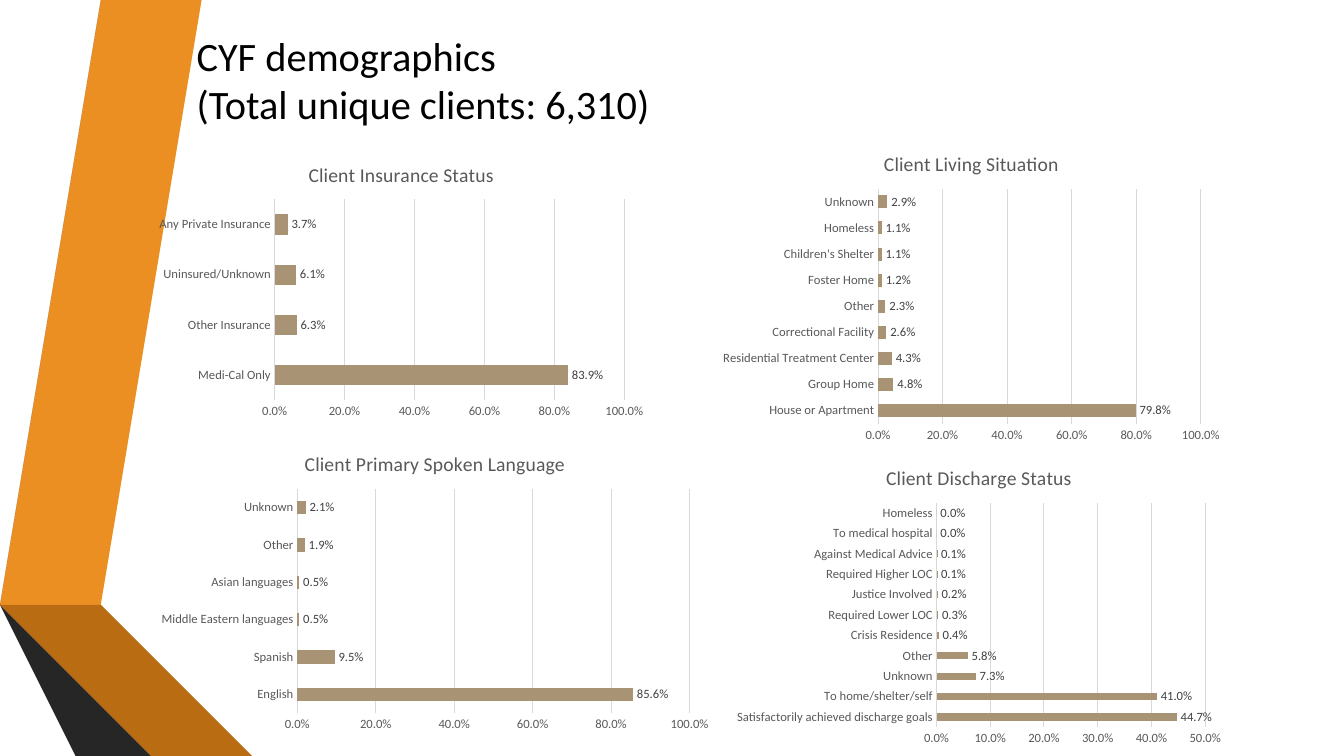
from pptx import Presentation
from pptx.chart.data import CategoryChartData
from pptx.dml.color import RGBColor
from pptx.enum import chart as charts, text
from pptx.util import Inches, Pt

FONT = "Calibri"
PERCENT = "0.0%"
COLORS = {
    "orange": "EB8F22", "gray": "595959", "black": "262626",
    "brown": "7B480B", "rust": "B96C11", "charcoal": "404040",
    "title": "000000", "label": "404040", "axis": "595959",
    "grid": "D9D9D9", "bar": "A89374",
}


def color(name):
    return RGBColor.from_string(COLORS[name])


def style_font(font, size, name):
    font.name = FONT
    font.size = Pt(size)
    font.bold = False
    font.color.rgb = color(name)


deck = Presentation()
deck.slide_width = Inches(13.33)
deck.slide_height = Inches(7.5)
page = deck.slides.add_slide(deck.slide_layouts[5])

ribbons = [
    ("orange", [(0.5, 5.78), (0.77, 5.83), (1.73, 0), (1.45, 0)]),
    ("gray", [(1.39, 0), (1.11, 0), (0.16, 5.73), (0.44, 5.77)]),
    ("black", [(0.16, 5.73), (1.45, 7.5), (1.51, 7.5)]),
    ("brown", [(0.5, 5.79), (2.08, 7.5), (2.14, 7.5)]),
    ("rust", [(0.5, 5.78), (2.14, 7.5), (2.83, 7.5), (0.77, 5.83)]),
    ("charcoal", [(2.02, 7.5), (0.48, 5.83), (0.44, 5.77), (0.16, 5.73), (1.51, 7.5)]),
]
for name, points in ribbons:
    builder = page.shapes.build_freeform(*points[0], scale=Inches(1))
    builder.add_line_segments(points[1:], close=True)
    ribbon = builder.convert_to_shape()
    ribbon.shadow.inherit = False
    ribbon.fill.solid()
    ribbon.fill.fore_color.rgb = color(name)
    ribbon.line.fill.background()

title = page.shapes.title
title.left, title.top = Inches(1.85), Inches(0.23)
title.width, title.height = Inches(10.96), Inches(1.12)
frame = title.text_frame
frame.text = "CYF demographics\v(Total unique clients: 6,310)"
frame.auto_size = text.MSO_AUTO_SIZE.NONE
frame.vertical_anchor = text.MSO_ANCHOR.MIDDLE
frame.paragraphs[0].alignment = text.PP_ALIGN.LEFT
for span in frame.paragraphs[0].runs:
    style_font(span.font, 28.8, "title")

panels = [
    ("Client Insurance Status", (1.48, 1.46, 5, 2.75), 150, 1, 0.2, {
        "Medi-Cal Only": 0.839,
        "Other Insurance": 0.063,
        "Uninsured/Unknown": 0.061,
        "Any Private Insurance": 0.037,
    }),
    ("Client Living Situation", (7.07, 1.34, 5.13, 3.11), 100, 1, 0.2, {
        "House or Apartment": 0.798,
        "Group Home": 0.048,
        "Residential Treatment Center": 0.043,
        "Correctional Facility": 0.026,
        "Other": 0.023,
        "Foster Home": 0.012,
        "Children's Shelter": 0.011,
        "Homeless": 0.011,
        "Unknown": 0.029,
    }),
    ("Client Discharge Status", (7.21, 4.46, 5, 3), 182, 0.5, 0.1, {
        "Satisfactorily achieved discharge goals": 0.447,
        "To home/shelter/self": 0.41,
        "Unknown": 0.073,
        "Other": 0.058,
        "Crisis Residence": 0.004,
        "Required Lower LOC": 0.003,
        "Justice Involved": 0.002,
        "Required Higher LOC": 0.001,
        "Against Medical Advice": 0.001,
        "To medical hospital": 0,
        "Homeless": 0,
    }),
    ("Client Primary Spoken Language", (1.49, 4.32, 5.65, 3), 182, 1, 0.2, {
        "English": 0.856,
        "Spanish": 0.095,
        "Middle Eastern languages": 0.005,
        "Asian languages": 0.005,
        "Other": 0.019,
        "Unknown": 0.021,
    }),
]
for heading, place, gap, maximum, step, shares in panels:
    data = CategoryChartData(number_format=PERCENT)
    data.categories = list(shares)
    data.add_series("Series 1", list(shares.values()))
    chart = page.shapes.add_chart(
        charts.XL_CHART_TYPE.BAR_CLUSTERED, *map(Inches, place), data
    ).chart
    style_font(chart.font, 10, "title")
    chart.has_legend = False
    chart.has_title = True
    chart.chart_title.include_in_layout = False
    para = chart.chart_title.text_frame.paragraphs[0]
    para.text = heading
    style_font(para.runs[0].font, 14, "axis")

    for axis in (chart.category_axis, chart.value_axis):
        axis.major_tick_mark = charts.XL_TICK_MARK.NONE
        axis.minor_tick_mark = charts.XL_TICK_MARK.NONE
        style_font(axis.tick_labels.font, 9, "axis")
    category_line = chart.category_axis.format.line
    chart.value_axis.has_major_gridlines = True
    for line in (category_line, chart.value_axis.major_gridlines.format.line):
        line.color.rgb = color("grid")
        line.width = Pt(0.75)
    chart.value_axis.format.line.fill.background()
    chart.value_axis.minimum_scale = 0
    chart.value_axis.maximum_scale = maximum
    chart.value_axis.major_unit = step
    chart.value_axis.tick_labels.number_format = PERCENT
    chart.value_axis.tick_labels.number_format_is_linked = False

    plot = chart.plots[0]
    plot.gap_width = gap
    plot.vary_by_categories = False
    bars = plot.series[0]
    bars.format.fill.solid()
    bars.format.fill.fore_color.rgb = color("bar")
    labels = bars.data_labels
    labels.show_value = True
    labels.position = charts.XL_LABEL_POSITION.OUTSIDE_END
    labels.number_format = PERCENT
    labels.number_format_is_linked = False
    style_font(labels.font, 9, "label")

deck.save("out.pptx")
